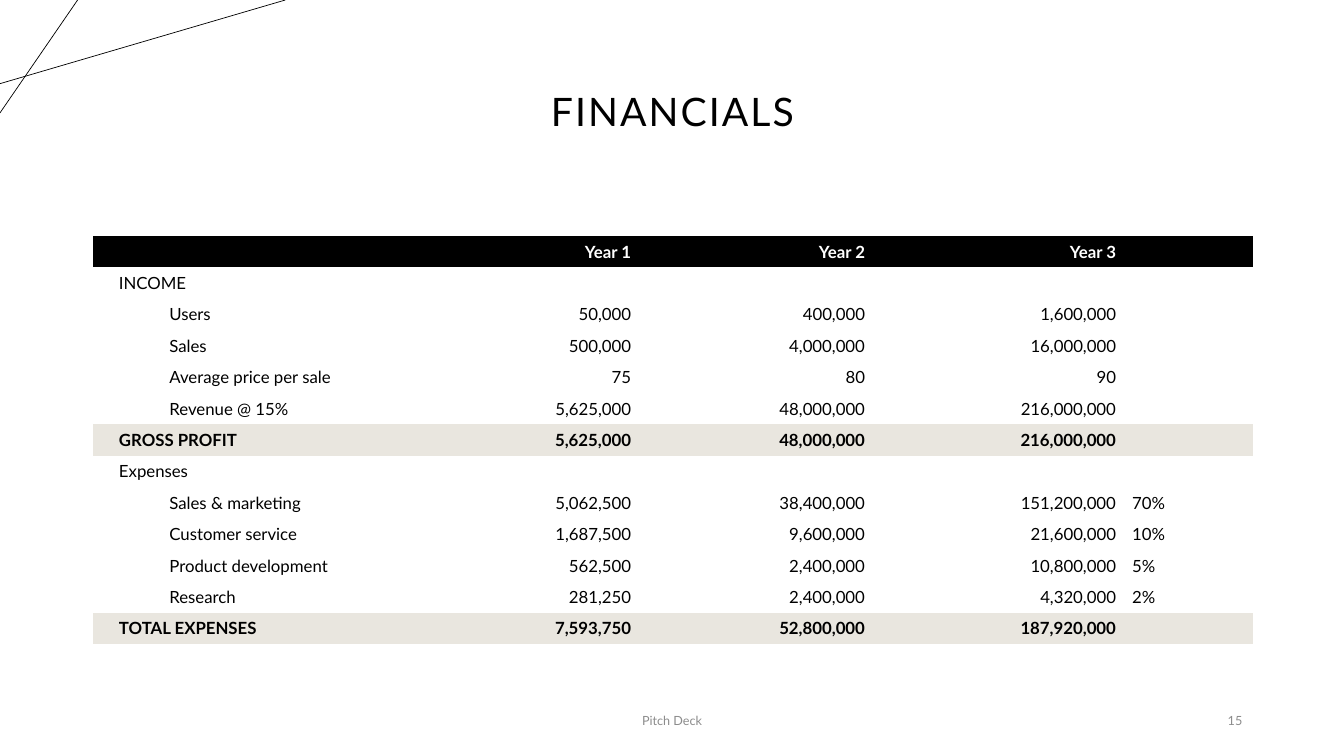
"""Build the pitch deck financials slide."""
from dataclasses import dataclass

from lxml.etree import SubElement
from pptx import Presentation
from pptx.dml.color import RGBColor
from pptx.enum.shapes import MSO_CONNECTOR
from pptx.enum.text import MSO_ANCHOR as ANCHOR, PP_ALIGN as ALIGN
from pptx.oxml.ns import qn
from pptx.util import Inches, Pt

TITLE, FOOTER, PAGE = "FINANCIALS", "Pitch Deck", "15"
ROWS = [
    ("header", "", "Year 1", "Year 2", "Year 3", ""),
    ("section", "INCOME", "", "", "", ""),
    ("item", "Users", "50,000", "400,000", "1,600,000", ""),
    ("item", "Sales", "500,000", "4,000,000", "16,000,000", ""),
    ("item", "Average price per sale", "75", "80", "90", ""),
    ("item", "Revenue @ 15%", "5,625,000", "48,000,000", "216,000,000", ""),
    ("total", "GROSS PROFIT", "5,625,000", "48,000,000", "216,000,000", ""),
    ("section", "Expenses", "", "", "", ""),
    ("item", "Sales & marketing", "5,062,500", "38,400,000", "151,200,000", "70%"),
    ("item", "Customer service", "1,687,500", "9,600,000", "21,600,000", "10%"),
    ("item", "Product development", "562,500", "2,400,000", "10,800,000", "5%"),
    ("item", "Research", "281,250", "2,400,000", "4,320,000", "2%"),
    ("total", "TOTAL EXPENSES", "7,593,750", "52,800,000", "187,920,000", ""),
]
CORNER_LINES = [((0, 0.83), (2.83, 0)), ((0.77, 0), (0, 1.12))]


@dataclass(frozen=True)
class Theme:
    font: str = "Lato"
    black: str = "000000"
    white: str = "FFFFFF"
    sand: str = "E9E6DF"
    gray: str = "8C8C8C"
    title: int = 28
    body: int = 12
    footer: int = 9


THEME = Theme()
FILLS = {"header": THEME.black, "total": THEME.sand}
NO_STYLE = "{2D5ABB26-0587-4C30-8999-92F81FD0307C}"
WIDTH, HEIGHT = 13.33, 7.5
MARGIN, CONTENT_W = 0.92, 11.5
COLUMNS = [3.54, 1.88, 2.32, 2.49, 1.28]
COLUMN_ALIGN = [ALIGN.LEFT] + [ALIGN.RIGHT] * 3 + [ALIGN.LEFT]
TABLE_TOP, TABLE_H = 2.34, 4.05
FOOTER_TOP, FOOTER_H, FOOTER_W, PAGE_W = 6.95, 0.4, 4.5, 3


def write(p, text, size, color, align, bold=False):
    r = p.add_run()
    r.text = text
    p.alignment = align
    for font in (p.font, r.font):
        font.name, font.size, font.bold = THEME.font, Pt(size), bold
        font.color.rgb = RGBColor.from_string(color)
    return r


def add_text(slide, box, text, size, color, align):
    tf = slide.shapes.add_textbox(*map(Inches, box)).text_frame
    tf.word_wrap = True
    tf.vertical_anchor = ANCHOR.MIDDLE
    return tf.paragraphs[0], write(tf.paragraphs[0], text, size, color, align)


def fill_cell(cell, kind, column, text):
    if kind in FILLS:
        cell.fill.solid()
        cell.fill.fore_color.rgb = RGBColor.from_string(FILLS[kind])
    else:
        cell.fill.background()
    cell.vertical_anchor = ANCHOR.MIDDLE
    cell.margin_left = Inches(0.08 if column else 0.26)
    cell.margin_right = Inches(0.08)
    cell.margin_top = cell.margin_bottom = Inches(0.04)
    p = cell.text_frame.paragraphs[0]
    if not text:
        p._p.get_or_add_endParaRPr().set("sz", str(THEME.body * 100))
        return
    color = THEME.white if kind == "header" else THEME.black
    write(p, text, THEME.body, color, COLUMN_ALIGN[column], kind in FILLS)
    if kind == "item" and column == 0:
        p.level = 1
        p._p.get_or_add_pPr().set("marL", str(Inches(0.5)))


def add_financials(slide):
    box = map(Inches, (MARGIN, TABLE_TOP, CONTENT_W, TABLE_H))
    table = slide.shapes.add_table(len(ROWS), len(COLUMNS), *box).table
    table.horz_banding = False
    table._tbl.tblPr.find(qn("a:tableStyleId")).text = NO_STYLE
    for column, width in zip(table.columns, COLUMNS):
        column.width = Inches(width)
    for i, (kind, *texts) in enumerate(ROWS):
        table.rows[i].height = Inches(TABLE_H / len(ROWS))
        for j, text in enumerate(texts):
            fill_cell(table.cell(i, j), kind, j, text)


def add_corner_lines(slide):
    for start, end in CORNER_LINES:
        line = slide.shapes.add_connector(
            MSO_CONNECTOR.STRAIGHT, *map(Inches, start + end))
        line.line.color.rgb = RGBColor.from_string(THEME.black)
        line.line.width = Pt(0.5)
        SubElement(line._element.spPr, qn("a:effectLst"))


def main():
    prs = Presentation()
    prs.slide_width, prs.slide_height = Inches(WIDTH), Inches(HEIGHT)
    slide = prs.slides.add_slide(prs.slide_layouts[6])
    add_corner_lines(slide)
    p, r = add_text(slide, (MARGIN, 0.4, CONTENT_W, 1.45), TITLE,
                    THEME.title, THEME.black, ALIGN.CENTER)
    p.line_spacing = 0.9
    r._r.get_or_add_rPr().set("spc", "150")
    add_financials(slide)
    footer_left = (WIDTH - FOOTER_W) / 2
    page_left = MARGIN + CONTENT_W - PAGE_W
    add_text(slide, (footer_left, FOOTER_TOP, FOOTER_W, FOOTER_H), FOOTER,
             THEME.footer, THEME.gray, ALIGN.CENTER)
    add_text(slide, (page_left, FOOTER_TOP, PAGE_W, FOOTER_H), PAGE,
             THEME.footer, THEME.gray, ALIGN.RIGHT)
    prs.save("out.pptx")


if __name__ == "__main__":
    main()
